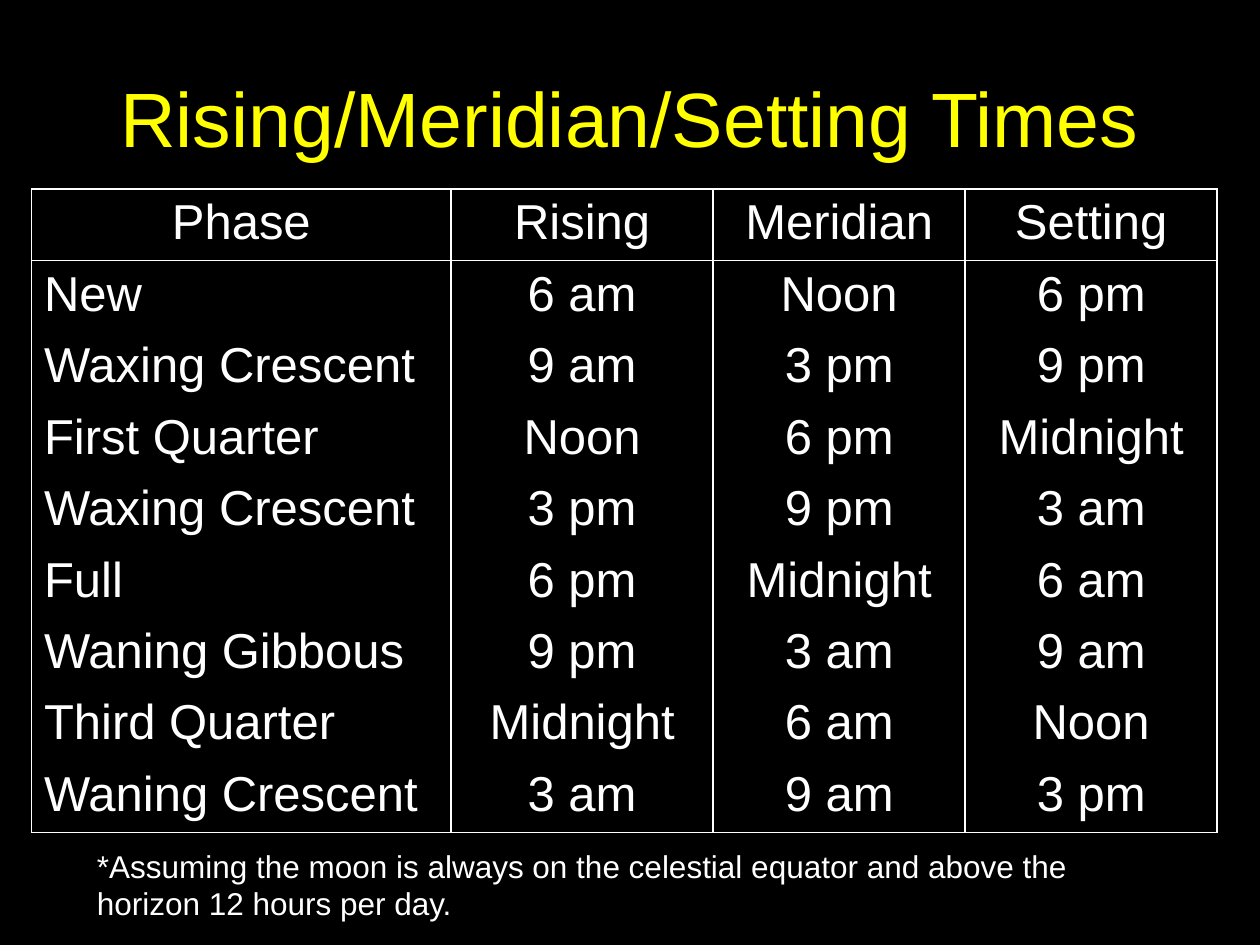
from lxml import etree
from pptx import Presentation
from pptx.dml.color import RGBColor
from pptx.enum.text import MSO_ANCHOR, PP_ALIGN
from pptx.oxml.ns import qn
from pptx.util import Inches, Pt

LEFT, CENTER = PP_ALIGN.LEFT, PP_ALIGN.CENTER
TOP, MIDDLE = MSO_ANCHOR.TOP, MSO_ANCHOR.MIDDLE
BLACK = RGBColor(0x00, 0x00, 0x00)
WHITE = RGBColor(0xFF, 0xFF, 0xFF)
YELLOW = RGBColor(0xFF, 0xFF, 0x00)
FONT = "Arial"

# Content
TITLE = "Rising/Meridian/Setting Times"
PHASE_TIMES = [
    ("Phase", "Rising", "Meridian", "Setting"),
    ("New", "6 am", "Noon", "6 pm"),
    ("Waxing Crescent", "9 am", "3 pm", "9 pm"),
    ("First Quarter", "Noon", "6 pm", "Midnight"),
    ("Waxing Crescent", "3 pm", "9 pm", "3 am"),
    ("Full", "6 pm", "Midnight", "6 am"),
    ("Waning Gibbous", "9 pm", "3 am", "9 am"),
    ("Third Quarter", "Midnight", "6 am", "Noon"),
    ("Waning Crescent", "3 am", "9 am", "3 pm"),
]
FOOTNOTE = ("*Assuming the moon is always on the celestial equator "
            "and above the horizon 12 hours per day.")

# Layout in inches
TABLE_LEFT, TABLE_TOP, TABLE_HEIGHT = 0.25, 1.5, 5.09
COLUMN_WIDTHS = (3.33, 2.08, 2, 2)
BORDER = Pt(1.08)


def write(tf, text, size, color, align, space_before=0):
    p = tf.paragraphs[0]
    p.text = text
    p.alignment = align
    p.space_before = Pt(space_before)
    p.font.name, p.font.size = FONT, Pt(size)
    p.font.color.rgb = color


def add_text(slide, box, anchor, *style):
    tf = slide.shapes.add_textbox(*map(Inches, box)).text_frame
    tf.word_wrap = True
    tf.vertical_anchor = anchor
    write(tf, *style)


def set_borders(cell, visible):
    """Draw the visible sides in white and hide the others."""
    props = cell._tc.get_or_add_tcPr()
    for i, side in enumerate("LRTB"):
        line = etree.Element(qn(f"a:ln{side}"), w=str(BORDER))
        if side in visible:
            fill = etree.SubElement(line, qn("a:solidFill"))
            etree.SubElement(fill, qn("a:srgbClr"), val=str(WHITE))
        else:
            etree.SubElement(line, qn("a:noFill"))
        props.insert(i, line)


prs = Presentation()
prs.slide_width, prs.slide_height = Inches(10), Inches(7.5)
slide = prs.slides.add_slide(prs.slide_layouts[6])
slide.background.fill.solid()
slide.background.fill.fore_color.rgb = BLACK

# Title
add_text(slide, (0.5, 0.3, 9, 1.25), MIDDLE, TITLE, 44, YELLOW, CENTER)

# Table of phases
last = len(PHASE_TIMES) - 1
table = slide.shapes.add_table(
    len(PHASE_TIMES), len(COLUMN_WIDTHS), Inches(TABLE_LEFT), Inches(TABLE_TOP),
    Inches(sum(COLUMN_WIDTHS)), Inches(TABLE_HEIGHT)).table
table.first_row = table.horz_banding = False
for column, width in zip(table.columns, COLUMN_WIDTHS):
    column.width = Inches(width)
for i, row in enumerate(PHASE_TIMES):
    for j, text in enumerate(row):
        cell = table.cell(i, j)
        cell.fill.background()
        align = LEFT if i and j == 0 else CENTER
        write(cell.text_frame, text, 28, WHITE, align, 7)
        # Rules around the header and the body, none between body rows
        top = "T" if i <= 1 else ""
        bottom = "B" if i in (0, last) else ""
        set_borders(cell, "LR" + top + bottom)

# Footnote
add_text(slide, (0.67, 6.67, 8.25, 0.7), TOP, FOOTNOTE, 18, WHITE, LEFT, 11.2)

prs.save("out.pptx")
